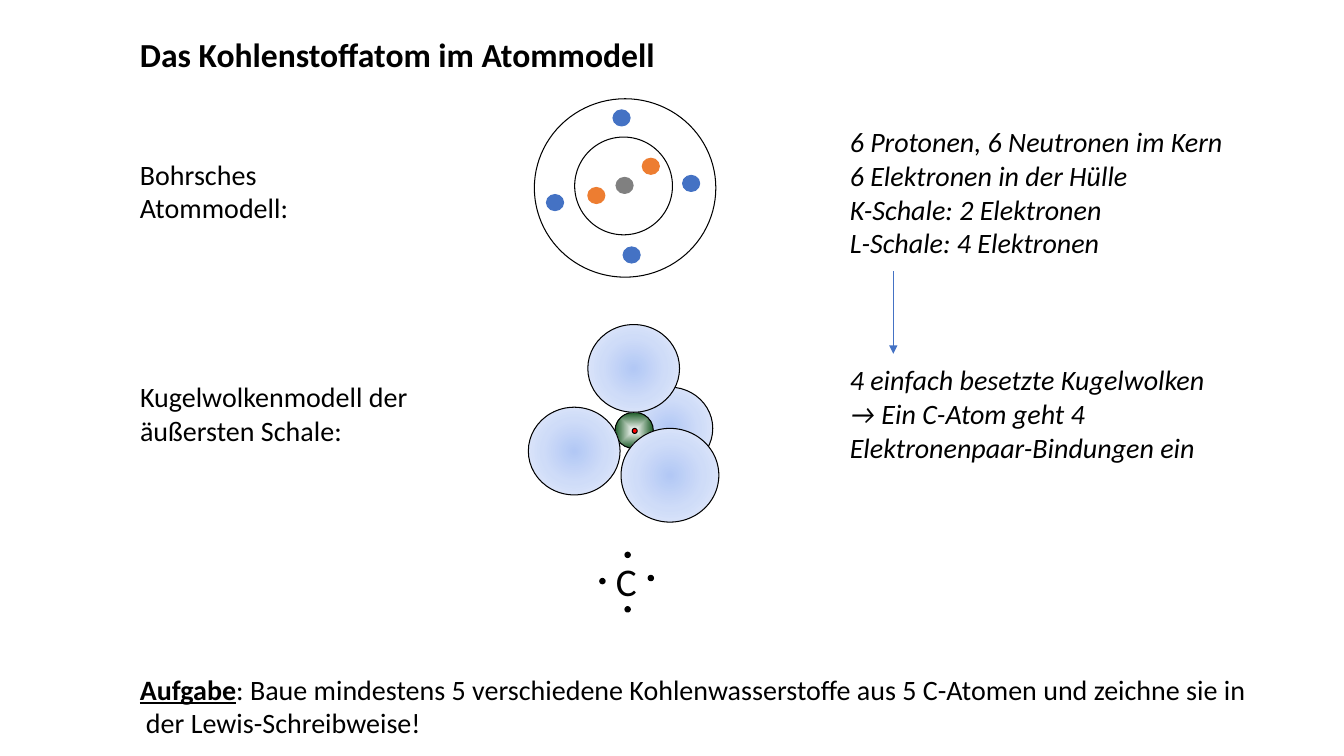
import pptx
import pptx.util
import pptx.dml.color
import pptx.enum.shapes
import pptx.enum.text
import pptx.oxml
import pptx.oxml.ns
from dataclasses import dataclass

SCALE = 9144


@dataclass(frozen=True)
class Theme:
    font: str = "Calibri"
    black: str = "000000"
    white: str = "FFFFFF"
    gray: str = "808080"
    orange: str = "ED7D31"
    blue: str = "4472C4"
    red: str = "FF0000"
    cloud: tuple = ((0, "B2C8F5"), (50, "CFDCF8"), (100, "E7EDFB"))
    core: tuple = ((0, "FFFFFF"), (100, "1A5A25"))
    title: int = 24
    body: int = 20
    symbol: int = 28


THEME = Theme()


def px(*nums):
    return [pptx.util.Emu(num * SCALE) for num in nums]


def rgb(code):
    return pptx.dml.color.RGBColor.from_string(code)


def add_text(shapes, place, lines, size, wrap=True, hang=0):
    frame = shapes.add_textbox(*px(*place)).text_frame
    frame.word_wrap = wrap
    frame.auto_size = pptx.enum.text.MSO_AUTO_SIZE.SHAPE_TO_FIT_TEXT
    for index, line in enumerate(lines):
        para = frame.add_paragraph() if index else frame.paragraphs[0]
        if hang:
            props = para._p.get_or_add_pPr()
            props.set("marL", str(hang * SCALE))
            props.set("indent", str(-hang * SCALE))
        for text, style in line:
            run = para.add_run()
            run.text = text
            run.font.name = THEME.font
            run.font.size = pptx.util.Pt(size)
            run.font.color.rgb = rgb(THEME.black)
            run.font.bold = "b" in style
            run.font.italic = "i" in style
            run.font.underline = "u" in style


def add_disc(shapes, place, fill, line=THEME.black, width=0.75):
    disc = shapes.add_shape(pptx.enum.shapes.MSO_SHAPE.OVAL, *px(*place))
    disc.shadow.inherit = False
    disc.fill.solid()
    disc.fill.fore_color.rgb = rgb(fill)
    disc.line.color.rgb = rgb(line)
    disc.line.width = pptx.util.Pt(width)
    return disc


def add_ball(shapes, place, stops, kind="circle"):
    ball = add_disc(shapes, place, THEME.white)
    marks = "".join(
        f'<a:gs pos="{pos * 1000}"><a:srgbClr val="{code}"/></a:gs>'
        for pos, code in stops
    )
    grad = pptx.oxml.parse_xml(
        f'<a:gradFill {pptx.oxml.ns.nsdecls("a")} rotWithShape="1">'
        f'<a:gsLst>{marks}</a:gsLst><a:path path="{kind}">'
        '<a:fillToRect l="50000" t="50000" r="50000" b="50000"/>'
        '</a:path></a:gradFill>'
    )
    props = ball._element.spPr
    props.replace(props.find(pptx.oxml.ns.qn("a:solidFill")), grad)


def add_arrow(shapes, start, end):
    arrow = shapes.add_connector(
        pptx.enum.shapes.MSO_CONNECTOR.STRAIGHT, *px(*start, *end)
    )
    arrow.line.color.rgb = rgb(THEME.blue)
    arrow.line.width = pptx.util.Pt(0.5)
    names = pptx.oxml.ns.nsdecls("a")
    arrow.line._ln.append(
        pptx.oxml.parse_xml(f'<a:tailEnd {names} type="triangle"/>')
    )
    arrow._element.spPr.append(pptx.oxml.parse_xml(f'<a:effectLst {names}/>'))


def add_clouds(shapes):
    add_ball(shapes, (621, 384, 86, 82), THEME.cloud)
    add_ball(shapes, (610, 409, 38, 36), THEME.core, "shape")
    add_disc(shapes, (627, 425, 5, 5), THEME.red)
    for place in ((616, 425, 97, 93), (524, 404, 91, 87), (583, 322, 91, 87)):
        add_ball(shapes, place, THEME.cloud)


def add_shells(shapes):
    for place in ((530, 98, 180, 177), (570, 136, 97, 97)):
        add_disc(shapes, place, THEME.white)
    dots = {
        THEME.gray: [(611, 176)],
        THEME.orange: [(583, 186), (637, 157)],
        THEME.blue: [(542, 193), (618, 245), (608, 109), (677, 174)],
    }
    for color, spots in dots.items():
        for spot in spots:
            add_disc(shapes, (*spot, 17, 16), color, color)


def add_lewis(shapes):
    add_text(shapes, (601, 548, 41, 57), [[("C", "")]], THEME.symbol, False)
    for spot in ((620, 548), (643, 571), (620, 602), (595, 574)):
        add_disc(shapes, (*spot, 5, 5), THEME.black, width=1)


def main():
    deck = pptx.Presentation()
    deck.slide_width, deck.slide_height = px(1333, 750)
    shapes = deck.slides.add_slide(deck.slide_layouts[6]).shapes

    add_text(shapes, (129, 29, 537, 50),
             [[("Das Kohlenstoffatom im Atommodell", "b")]], THEME.title, False)
    add_text(shapes, (129, 151, 286, 77),
             [[("Bohrsches Atommodell:", "")]], THEME.body)
    add_text(shapes, (129, 372, 331, 77),
             [[("Kugelwolkenmodell der äußersten Schale:", "")]], THEME.body)

    for draw in (add_clouds, add_shells):
        draw(shapes.add_group_shape().shapes)

    facts = (
        "6 Protonen, 6 Neutronen im Kern",
        "6 Elektronen in der Hülle",
        "K-Schale: 2 Elektronen",
        "L-Schale: 4 Elektronen",
    )
    bonds = (
        "4 einfach besetzte Kugelwolken",
        "→ Ein C-Atom geht 4 Elektronenpaar-Bindungen ein",
    )
    for place, notes in (((833, 119, 413, 145), facts),
                         ((833, 355, 375, 111), bonds)):
        add_text(shapes, place, [[(note, "i")] for note in notes], THEME.body)
    add_arrow(shapes, (886, 269), (886, 351))

    add_lewis(shapes.add_group_shape().shapes)
    task = (
        ": Baue mindestens 5 verschiedene Kohlenwasserstoffe aus 5 C-Atomen "
        "und zeichne sie in der Lewis-Schreibweise!"
    )
    add_text(shapes, (129, 662, 1140, 77),
             [[("Aufgabe", "bu"), (task, "")]], THEME.body, hang=6)
    deck.save("out.pptx")


if __name__ == "__main__":
    main()
